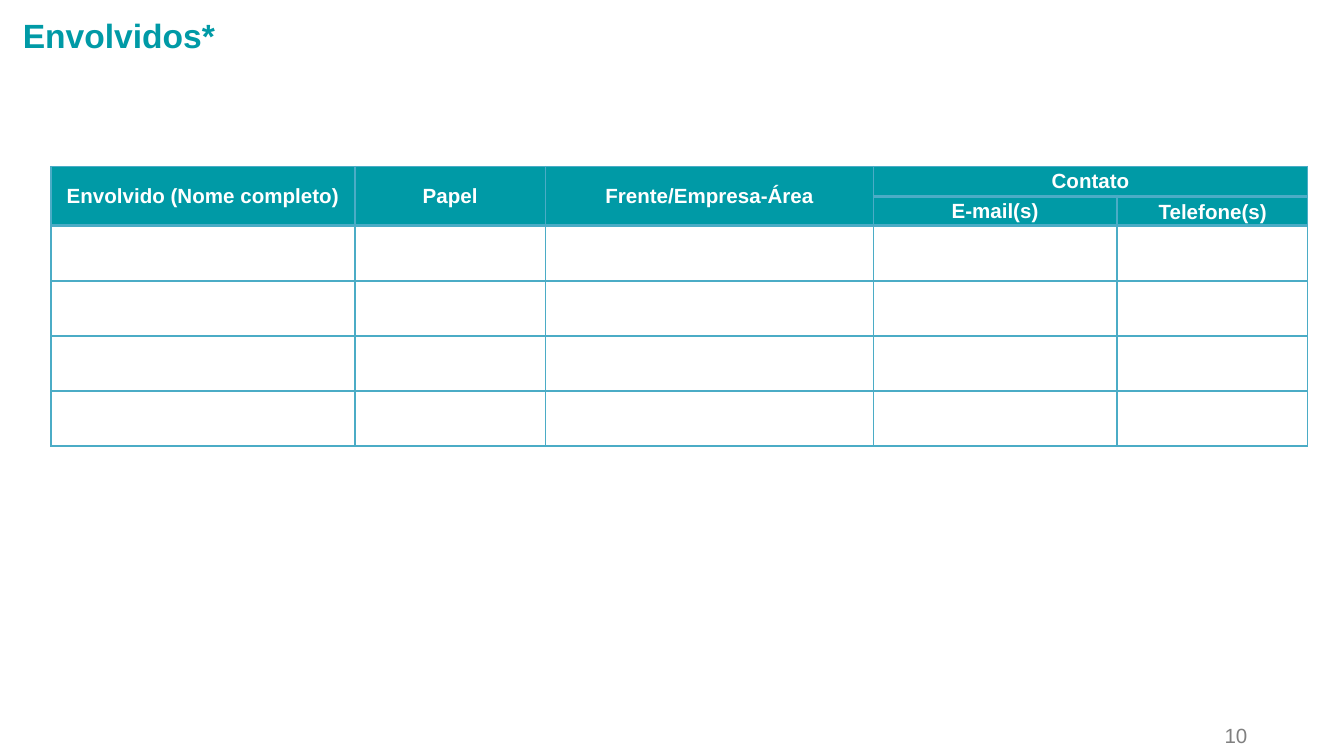
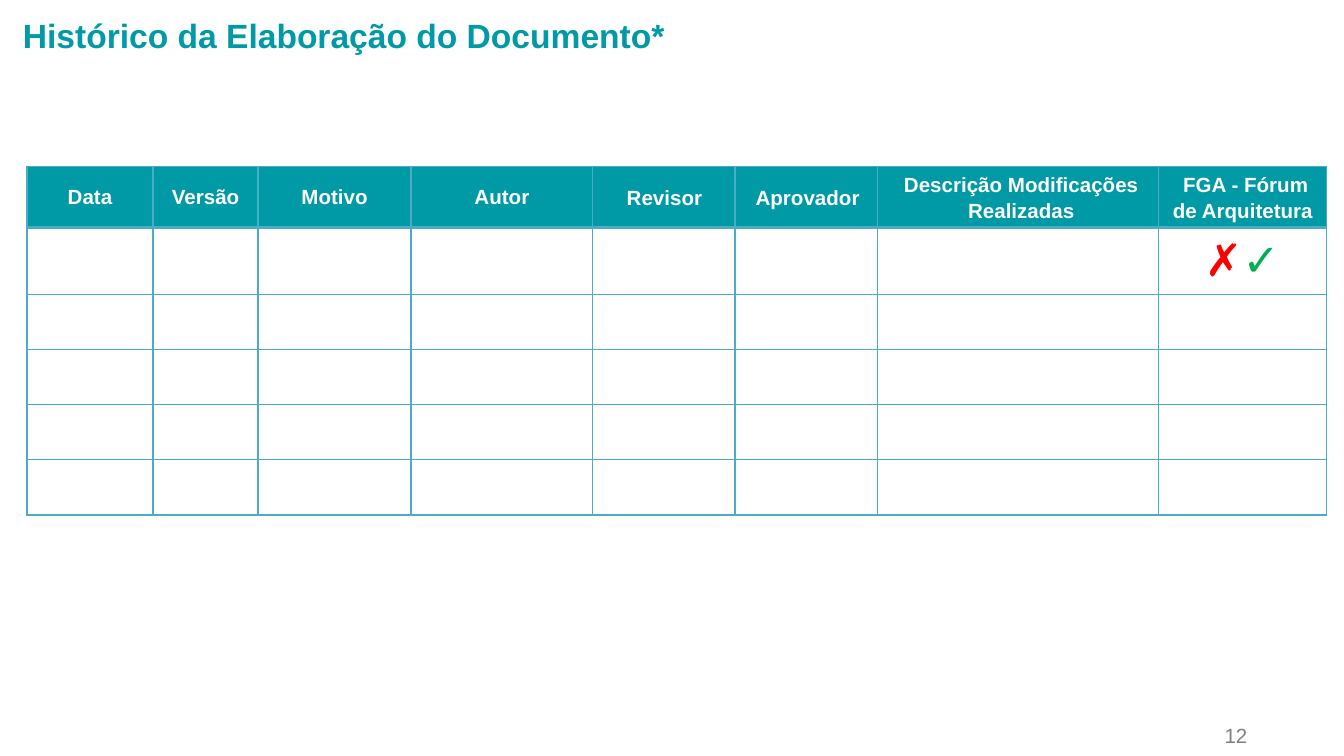
from dataclasses import dataclass

from lxml import etree
from pptx import Presentation
from pptx.dml.color import RGBColor
from pptx.enum.text import MSO_ANCHOR, MSO_AUTO_SIZE, PP_ALIGN
from pptx.oxml.ns import qn
from pptx.util import Inches, Pt

CENTER, LEFT, RIGHT = PP_ALIGN.CENTER, PP_ALIGN.LEFT, PP_ALIGN.RIGHT
TOP, MIDDLE = MSO_ANCHOR.TOP, MSO_ANCHOR.MIDDLE
GROW = MSO_AUTO_SIZE.SHAPE_TO_FIT_TEXT


@dataclass(frozen=True)
class Theme:
    teal: str = "009AA6"
    border: str = "4BACC6"
    white: str = "FFFFFF"
    gray: str = "808080"
    red: str = "FF0000"
    green: str = "00B050"
    font: str = "Arial"
    mark_font: str = "Calibri"
    title_size: int = 18
    small_size: int = 11
    mark_size: int = 24
    thin: int = 1
    thick: int = 2


THEME = Theme()
SLIDE_WIDTH = Inches(10)
SLIDE_HEIGHT = SLIDE_WIDTH * 9 // 16
TABLE_TOP = 1.24
BODY_ROW = 0.41

# Headings: (row, column, text, rows spanned, columns spanned, indent).
# A heading with an indent also has looser line spacing.
SLIDES = [
    {
        "title": "Envolvidos*",
        "page": "10",
        "left": 0.38,
        "columns": [2.26, 1.42, 2.44, 1.81, 1.42],
        "heading_rows": [0.22, 0.22],
        "body_rows": 4,
        "headings": [
            (0, 0, "Envolvido (Nome completo)", 2, 1, None),
            (0, 1, "Papel", 2, 1, None),
            (0, 2, "Frente/Empresa-Área", 2, 1, None),
            (0, 3, "Contato", 1, 2, None),
            (1, 3, "E-mail(s)", 1, 1, None),
            (1, 4, "Telefone(s)", 1, 1, 0.01),
        ],
        "marks": [],
    },
    {
        "title": "Histórico da Elaboração do Documento*",
        "page": "12",
        "left": 0.2,
        "columns": [0.94, 0.78, 1.14, 1.35, 1.06, 1.06, 2.09, 1.25],
        "heading_rows": [0.45],
        "body_rows": 5,
        "headings": [
            (0, 0, "Data", 1, 1, None),
            (0, 1, "Versão", 1, 1, None),
            (0, 2, "Motivo", 1, 1, None),
            (0, 3, "Autor", 1, 1, None),
            (0, 4, "Revisor", 1, 1, 0.01),
            (0, 5, "Aprovador", 1, 1, 0.02),
            (0, 6, "Descrição Modificações Realizadas", 1, 1, 0.05),
            (0, 7, "FGA - Fórum de Arquitetura ", 1, 1, 0.05),
        ],
        "marks": [("✗", THEME.red), ("✓", THEME.green)],
    },
]


def rgb(color):
    return RGBColor.from_string(color)


def format_run(r, size, color, bold=False, font=THEME.font):
    r.font.size = Pt(size)
    r.font.name = font
    r.font.bold = bold
    r.font.color.rgb = rgb(color)


def set_line(tf, text, align, size, color, bold=False):
    tf.text = text
    p = tf.paragraphs[0]
    p.alignment = align
    format_run(p.runs[0], size, color, bold)
    return p


def set_borders(cell, bottom):
    tc_pr = cell._tc.get_or_add_tcPr()
    sides = [("a:lnL", THEME.thin), ("a:lnR", THEME.thin),
             ("a:lnT", THEME.thin), ("a:lnB", bottom)]
    for i, (tag, width) in enumerate(sides):
        ln = etree.Element(qn(tag), w=str(Pt(width)))
        fill = etree.SubElement(ln, qn("a:solidFill"))
        etree.SubElement(fill, qn("a:srgbClr"), val=THEME.border)
        tc_pr.insert(i, ln)


def style_heading_cell(cell):
    cell.fill.solid()
    cell.fill.fore_color.rgb = rgb(THEME.teal)
    cell.vertical_anchor = MIDDLE
    cell.margin_left = cell.margin_right = Inches(0.05)
    cell.margin_top = cell.margin_bottom = 0
    # Keeps cells hidden by a span from stretching the low heading rows
    end = cell.text_frame.paragraphs[0]._p.get_or_add_endParaRPr()
    end.set("sz", str(THEME.small_size * 100))


def add_title(slide, text):
    sp = slide.shapes.title
    sp.left, sp.top = Inches(0.07), Inches(0.06)
    sp.width, sp.height = Inches(6.43), Inches(0.4)
    tf = sp.text_frame
    tf.word_wrap = True
    tf.auto_size = GROW
    tf.vertical_anchor = TOP
    set_line(tf, text, LEFT, THEME.title_size, THEME.teal, True)


def add_page_number(slide, text):
    sp = slide.shapes.add_textbox(Inches(8.46), Inches(5.34),
                                  Inches(0.92), Inches(0.29))
    tf = sp.text_frame
    tf.word_wrap = True
    tf.vertical_anchor = MIDDLE
    p = set_line(tf, text, RIGHT, THEME.small_size, THEME.gray)
    p.line_spacing = 0.8


def add_marks(cell, marks):
    cell.vertical_anchor = MIDDLE
    p = cell.text_frame.paragraphs[0]
    p.alignment = CENTER
    for text, color in marks:
        r = p.add_run()
        r.text = text
        format_run(r, THEME.mark_size, color, font=THEME.mark_font)


def add_table(slide, data):
    columns = data["columns"]
    n_heading = len(data["heading_rows"])
    rows = data["heading_rows"] + [BODY_ROW] * data["body_rows"]
    frame = slide.shapes.add_table(
        len(rows), len(columns), Inches(data["left"]), Inches(TABLE_TOP),
        Inches(sum(columns)), Inches(sum(rows)))
    table = frame.table
    table.first_row = table.horz_banding = False
    for column, width in zip(table.columns, columns):
        column.width = Inches(width)
    for i, height in enumerate(rows):
        table.rows[i].height = Inches(height)
        bottom = THEME.thick if i < n_heading else THEME.thin
        for cell in table.rows[i].cells:
            if i < n_heading:
                style_heading_cell(cell)
            else:
                cell.fill.background()
            set_borders(cell, bottom)

    for row, col, text, n_rows, n_cols, indent in data["headings"]:
        cell = table.cell(row, col)
        if n_rows * n_cols > 1:
            cell.merge(table.cell(row + n_rows - 1, col + n_cols - 1))
        p = set_line(cell.text_frame, text, CENTER,
                     THEME.small_size, THEME.white, True)
        if indent is not None:
            p.line_spacing = 1.15
            p._p.get_or_add_pPr().set("marL", str(Inches(indent)))

    if data["marks"]:
        add_marks(table.cell(n_heading, len(columns) - 1), data["marks"])


def main():
    prs = Presentation()
    prs.slide_width, prs.slide_height = SLIDE_WIDTH, SLIDE_HEIGHT
    title_only = prs.slide_layouts.get_by_name("Title Only")
    for data in SLIDES:
        slide = prs.slides.add_slide(title_only)
        add_title(slide, data["title"])
        add_table(slide, data)
        add_page_number(slide, data["page"])
    prs.save("out.pptx")


if __name__ == "__main__":
    main()
